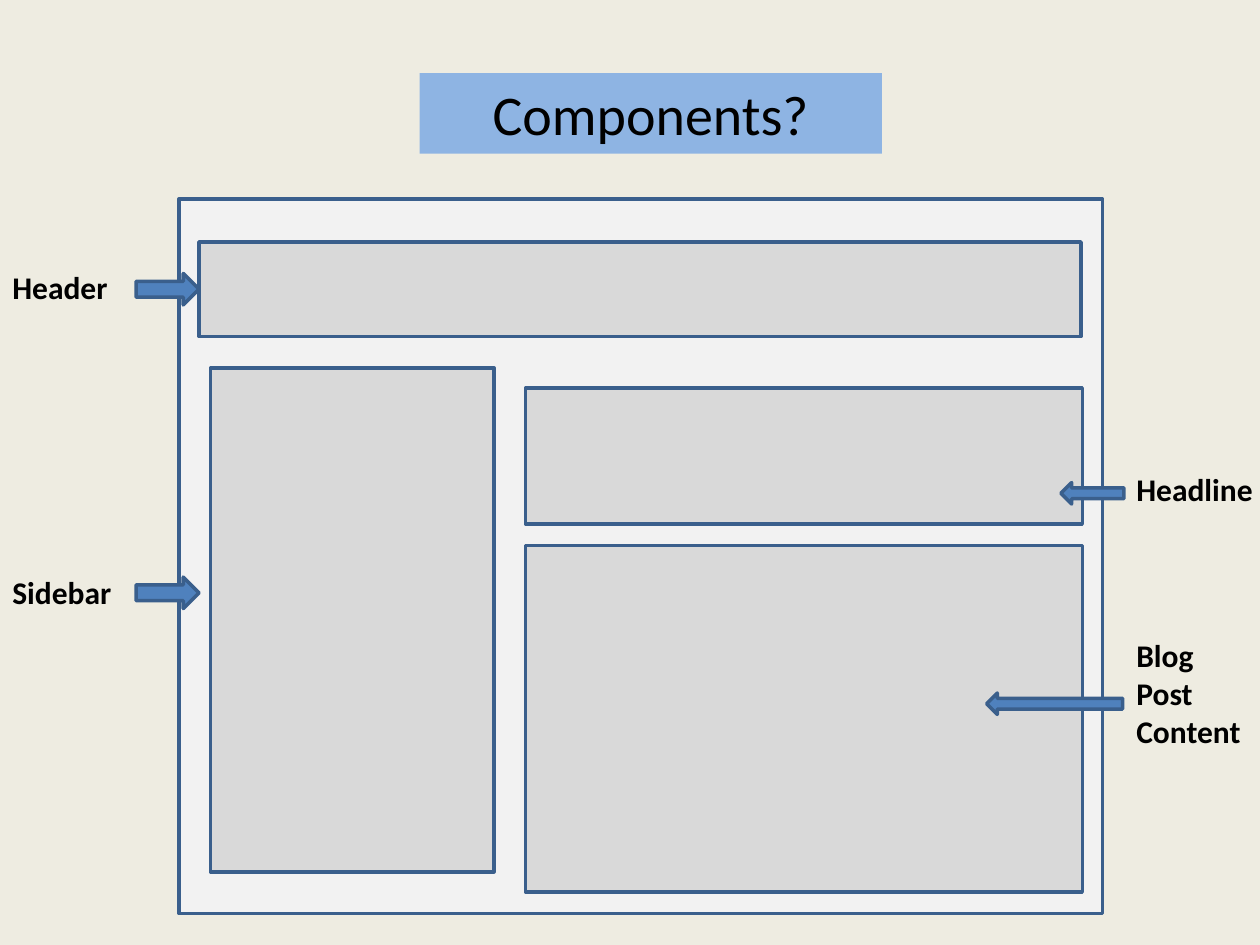
from dataclasses import dataclass

from pptx import Presentation
from pptx.dml.color import RGBColor
from pptx.enum.shapes import MSO_SHAPE
from pptx.enum.text import MSO_ANCHOR, MSO_AUTO_SIZE, PP_ALIGN
from pptx.util import Inches, Pt

RECTANGLE = MSO_SHAPE.RECTANGLE
RIGHT_ARROW = MSO_SHAPE.RIGHT_ARROW
MIDDLE = MSO_ANCHOR.MIDDLE
TOP = MSO_ANCHOR.TOP
CENTER = PP_ALIGN.CENTER
LEFT = PP_ALIGN.LEFT
GROW = MSO_AUTO_SIZE.SHAPE_TO_FIT_TEXT
BLANK_LAYOUT = 6


@dataclass(frozen=True)
class Theme:
    background: str = "EEECE1"
    banner: str = "8EB4E3"
    page: str = "F2F2F2"
    block: str = "D9D9D9"
    arrow: str = "4F81BD"
    outline: str = "3A5F8C"
    text: str = "000000"
    font: str = "Calibri"
    title_size: int = 32
    label_size: int = 18
    line_width: int = 2


class SlideBuilder:
    def __init__(self, slide, theme):
        self.slide = slide
        self.theme = theme

    def background(self):
        fill = self.slide.background.fill
        fill.solid()
        fill.fore_color.rgb = RGBColor.from_string(self.theme.background)

    def shape(self, kind, box, color, outlined=True):
        shape = self.slide.shapes.add_shape(kind, *map(Inches, box))
        shape.shadow.inherit = False
        shape.fill.solid()
        shape.fill.fore_color.rgb = RGBColor.from_string(color)
        if outlined:
            shape.line.color.rgb = RGBColor.from_string(self.theme.outline)
            shape.line.width = Pt(self.theme.line_width)
        else:
            shape.line.fill.background()
        return shape

    def set_text(self, shape, text, size, bold, alignment, anchor):
        frame = shape.text_frame
        frame.word_wrap = True
        frame.auto_size = GROW
        frame.vertical_anchor = anchor
        paragraph = frame.paragraphs[0]
        paragraph.text = text
        paragraph.alignment = alignment
        font = paragraph.font
        font.name = self.theme.font
        font.size = Pt(size)
        font.bold = bold
        font.color.rgb = RGBColor.from_string(self.theme.text)

    def title(self, text, box):
        banner = self.shape(RECTANGLE, box, self.theme.banner, outlined=False)
        self.set_text(banner, text, self.theme.title_size, False, CENTER, MIDDLE)

    def label(self, text, box):
        text_box = self.slide.shapes.add_textbox(*map(Inches, box))
        self.set_text(text_box, text, self.theme.label_size, True, LEFT, TOP)

    def arrow(self, box, rotation):
        self.shape(RIGHT_ARROW, box, self.theme.arrow).rotation = rotation


# Boxes are left, top, width, height in inches
PAGE = (1.42, 1.58, 7.33, 5.67)
BLOCKS = [
    (1.58, 1.92, 7, 0.75),  # header
    (1.67, 2.92, 2.25, 4),  # sidebar
    (4.17, 3.08, 4.42, 1.08),  # headline
    (4.17, 4.33, 4.42, 2.75),  # blog post content
]
# Label, label box, arrow box, arrow rotation
CALLOUTS = [
    ("Header", (0, 2.08, 1.17, 0.42), (1.08, 2.17, 0.5, 0.25), 0),
    ("Sidebar", (0, 4.5, 1.17, 0.42), (1.08, 4.58, 0.5, 0.25), 0),
    ("Headline", (8.92, 3.68, 1.25, 0.4), (8.42, 3.83, 0.5, 0.17), 180),
    ("Blog Post Content", (8.92, 5, 1.08, 1.01), (7.83, 5.5, 1.08, 0.17), 180),
]


def main():
    presentation = Presentation()
    presentation.slide_width = Inches(10)
    presentation.slide_height = Inches(7.5)
    slide = presentation.slides.add_slide(presentation.slide_layouts[BLANK_LAYOUT])
    theme = Theme()
    builder = SlideBuilder(slide, theme)

    # Background and title
    builder.background()
    builder.title("Components?", (3.33, 0.58, 3.67, 0.64))

    # Web page wireframe
    builder.shape(RECTANGLE, PAGE, theme.page)
    for block in BLOCKS:
        builder.shape(RECTANGLE, block, theme.block)

    # Callouts
    for text, label_box, arrow_box, rotation in CALLOUTS:
        builder.arrow(arrow_box, rotation)
        builder.label(text, label_box)

    presentation.save("out.pptx")


if __name__ == "__main__":
    main()
